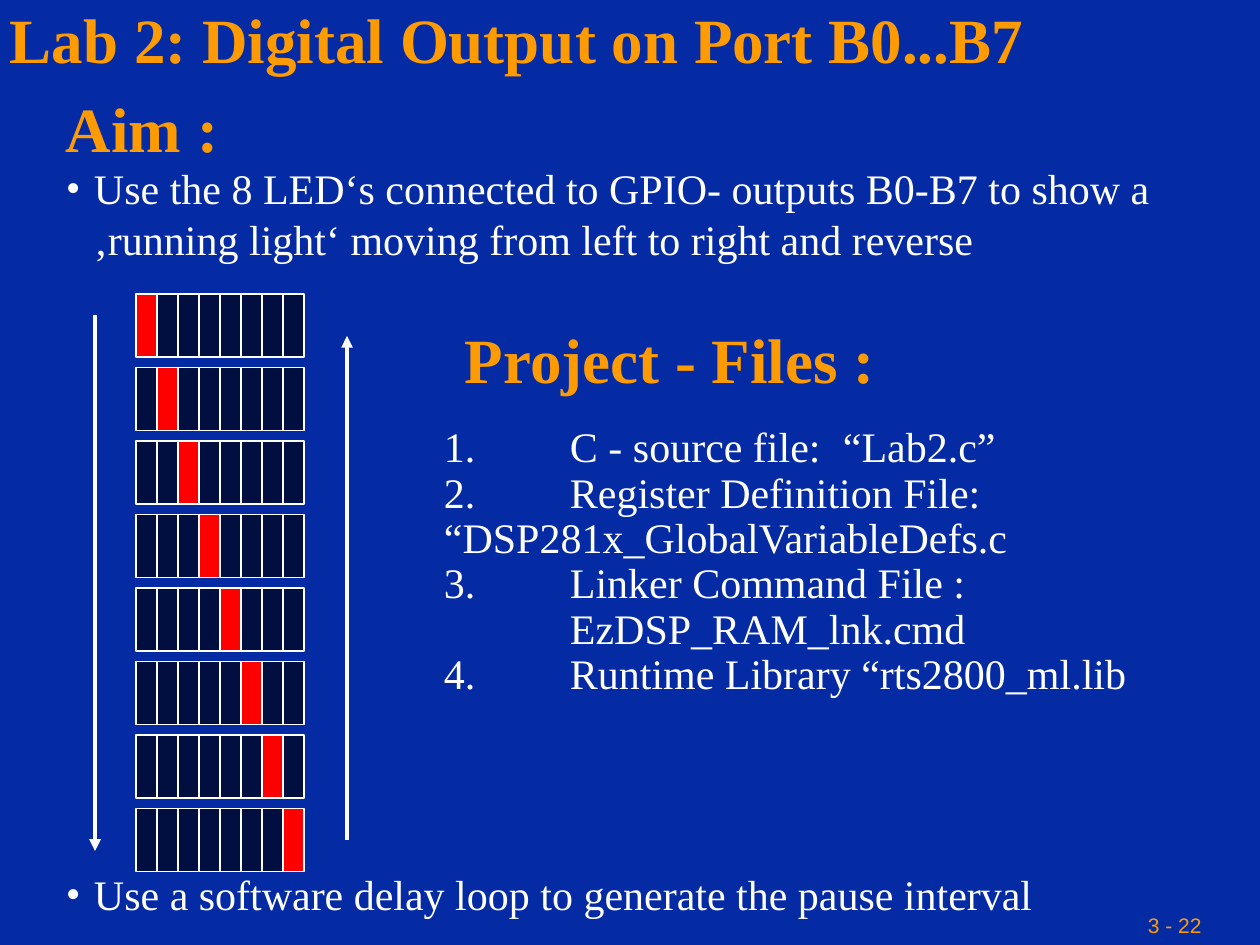
from dataclasses import dataclass

from lxml import etree
from pptx import Presentation
from pptx.dml.color import RGBColor
from pptx.enum.shapes import MSO_CONNECTOR, MSO_SHAPE
from pptx.oxml.ns import qn
from pptx.util import Pt

STRAIGHT = MSO_CONNECTOR.STRAIGHT
RECTANGLE = MSO_SHAPE.RECTANGLE
PX = 914400 / 126


@dataclass(frozen=True)
class Theme:
    background: str = "042AA4"
    accent: str = "FE9B03"
    text: str = "FFFFFF"
    led_on: str = "FF0000"
    led_off: str = "000F40"
    serif: str = "Times New Roman"
    sans: str = "Arial"
    heading_size: int = 36
    body_size: int = 24
    number_size: int = 12
    leading: float = 1.2


THEME = Theme()

# Content: text with left, top, width, height in px
TITLE = ("Lab 2: Digital Output on Port B0...B7", (10, 0, 1250, 105))
HEADINGS = [
    ("Aim :", (53, 84, 190, 88)),
    ("Project - Files :", (452, 315, 442, 88)),
]
AIMS = [
    ("Use the 8 LED‘s connected to GPIO- outputs B0-B7 to show a "
     "‚running light‘ moving from left to right and reverse", (53, 157, 1176, 114)),
    ("Use a software delay loop to generate the pause interval", (53, 863, 1176, 63)),
]
PROJECT_FILES = [
    "1.\tC - source file:\t“Lab2.c”",
    "2.\tRegister Definition File:\v“DSP281x_GlobalVariableDefs.c",
    "3.\tLinker Command File :",
    "\tEzDSP_RAM_lnk.cmd",
    "4.\tRuntime Library “rts2800_ml.lib",
]
FILES_AREA = (431, 420, 809, 285)
FILES_TABS = (126, 399)
FILES_TIGHTNESS = 0.9
PAGE_NUMBER = ("3 - 22", (1135, 907, 125, 38))

# Running light: one lit LED per row
LED_COUNT = 8
LED_LEFT, LED_TOP = 136, 294
LED_WIDTH, LED_HEIGHT = 21, 63
ROW_STEP = LED_HEIGHT * 7 / 6
ARROWS = [((95, 315), (95, 851)), ((347, 840), (347, 336))]

BULLET_INDENT = 28
INSET_X, INSET_Y = 13, 6


def emu(px):
    return round(px * PX)


def rgb(value):
    return RGBColor.from_string(value)


def add_bullet(para):
    props = para._p.get_or_add_pPr()
    props.set("marL", str(emu(BULLET_INDENT)))
    props.set("indent", str(-emu(BULLET_INDENT)))
    etree.SubElement(props, qn("a:buFont"), typeface=THEME.serif)
    etree.SubElement(props, qn("a:buChar"), char="•")


def add_tabs(para, stops):
    tab_list = etree.SubElement(para._p.get_or_add_pPr(), qn("a:tabLst"))
    for stop in stops:
        etree.SubElement(tab_list, qn("a:tab"), pos=str(emu(stop)), algn="l")


def add_text(page, lines, area, size, color, face=THEME.serif, bold=False,
             bullet=False, tabs=(), tightness=1, inset=(INSET_X, INSET_Y)):
    box = page.shapes.add_textbox(*map(emu, area))
    frame = box.text_frame
    frame.word_wrap = True
    frame.margin_left = frame.margin_right = emu(inset[0])
    frame.margin_top = frame.margin_bottom = emu(inset[1])
    for index, line in enumerate(lines):
        para = frame.paragraphs[0] if index == 0 else frame.add_paragraph()
        para.text = line
        if bullet:
            add_bullet(para)
        if tabs:
            add_tabs(para, tabs)
        para.line_spacing = Pt(size * THEME.leading * tightness)
        for span in para.runs:
            span.font.name = face
            span.font.size = Pt(size)
            span.font.bold = bold
            span.font.color.rgb = rgb(color)


def add_led(page, left, top, lit):
    led = page.shapes.add_shape(
        RECTANGLE, *map(emu, (left, top, LED_WIDTH, LED_HEIGHT)))
    led.shadow.inherit = False
    led.fill.solid()
    led.fill.fore_color.rgb = rgb(THEME.led_on if lit else THEME.led_off)
    led.line.color.rgb = rgb(THEME.text)
    led.line.width = Pt(1)


def add_arrow(page, start, end):
    arrow = page.shapes.add_connector(STRAIGHT, *map(emu, start + end))
    arrow.line.color.rgb = rgb(THEME.text)
    arrow.line.width = Pt(2.25)
    props = arrow._element.spPr
    etree.SubElement(props.find(qn("a:ln")), qn("a:tailEnd"), type="triangle")
    etree.SubElement(props, qn("a:effectLst"))


def main():
    deck = Presentation()
    deck.slide_width, deck.slide_height = emu(1260), emu(945)
    page = deck.slides.add_slide(deck.slide_layouts[6])
    page.background.fill.solid()
    page.background.fill.fore_color.rgb = rgb(THEME.background)

    # Page number, title and headings
    number, area = PAGE_NUMBER
    add_text(page, [number], area, THEME.number_size, THEME.accent, THEME.sans)
    title, area = TITLE
    add_text(page, [title], area, THEME.heading_size, THEME.accent,
             bold=True, inset=(0, 0))
    for heading, area in HEADINGS:
        add_text(page, [heading], area, THEME.heading_size, THEME.accent, bold=True)

    # Aims and project files
    for aim, area in AIMS:
        add_text(page, [aim], area, THEME.body_size, THEME.text, bullet=True)
    add_text(page, PROJECT_FILES, FILES_AREA, THEME.body_size, THEME.text,
             tabs=FILES_TABS, tightness=FILES_TIGHTNESS)

    # Running light and its directions
    for row in range(LED_COUNT):
        for column in range(LED_COUNT):
            add_led(page, LED_LEFT + column * LED_WIDTH,
                    LED_TOP + row * ROW_STEP, row == column)
    for start, end in ARROWS:
        add_arrow(page, start, end)

    deck.save("out.pptx")


if __name__ == "__main__":
    main()
